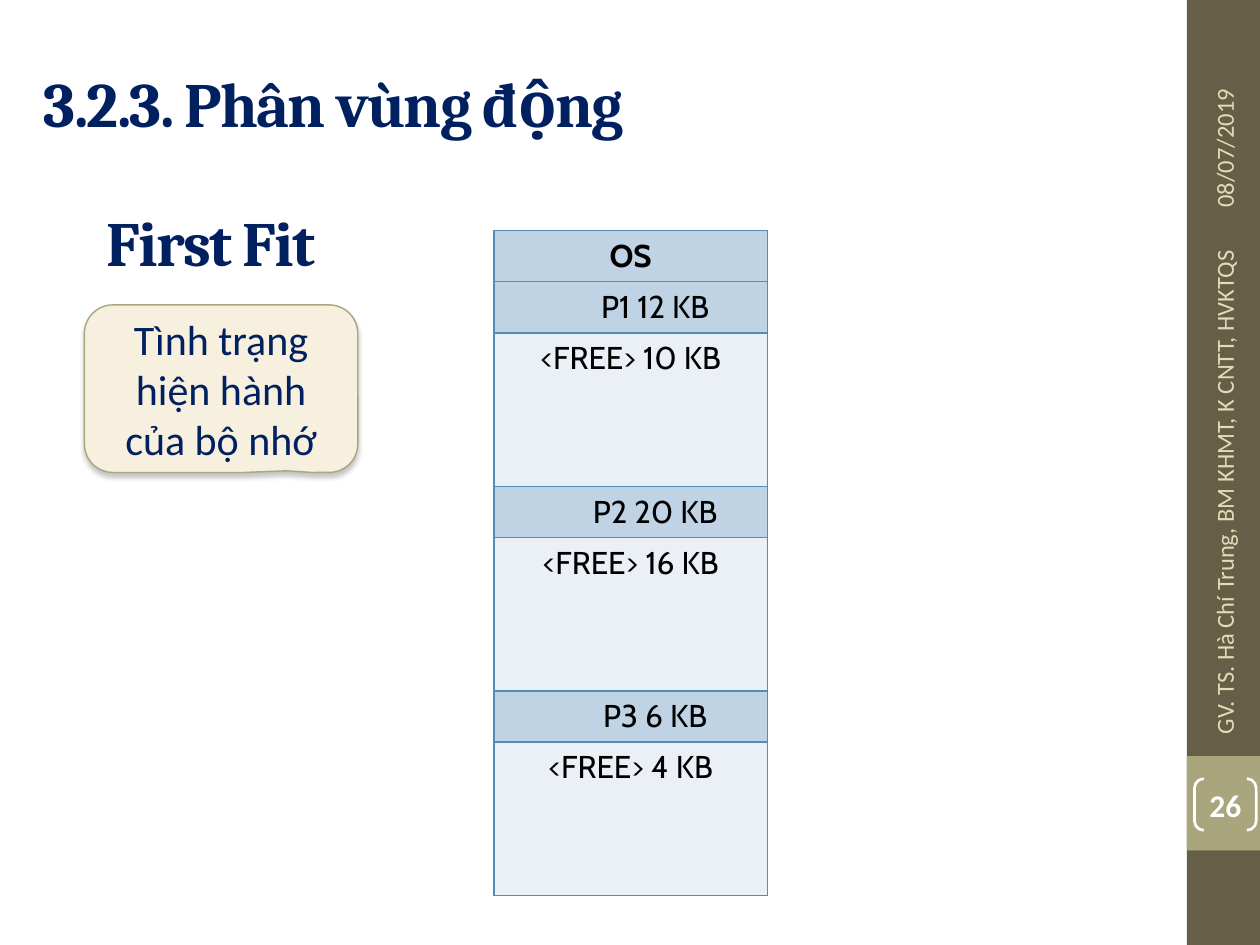
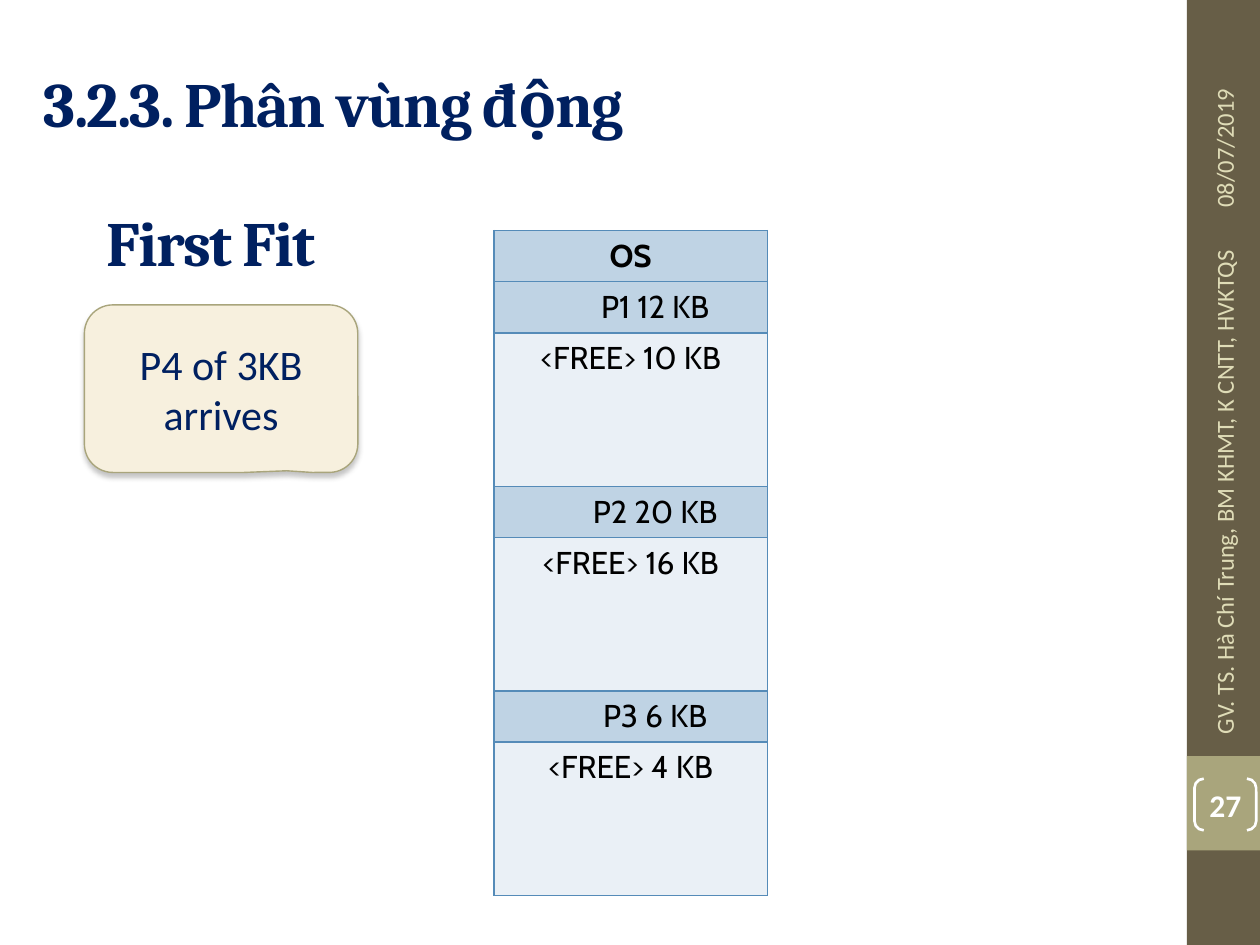
from lxml.etree import SubElement
from pptx import Presentation
from pptx.dml.color import RGBColor
from pptx.enum.shapes import MSO_SHAPE as Shape
from pptx.enum.text import MSO_ANCHOR as Anchor, PP_ALIGN as Align
from pptx.oxml.ns import qn
from pptx.util import Inches, Pt

WHITE = RGBColor(0xFF, 0xFF, 0xFF)
BLACK = RGBColor(0x00, 0x00, 0x00)
NAVY = RGBColor(0x00, 0x20, 0x60)
BROWN = RGBColor(0x67, 0x5E, 0x47)
OLIVE = RGBColor(0xA9, 0xA5, 0x7C)
SAND = RGBColor(0xDF, 0xDC, 0xB7)
CREAM = RGBColor(0xF7, 0xF0, 0xDE)
USED = RGBColor(0xBF, 0xD3, 0xE4)
FREE = RGBColor(0xEA, 0xF0, 0xF6)
BORDER = RGBColor(0x55, 0x8B, 0xB8)
SHADOW = RGBColor(0x80, 0x80, 0x80)

HEADING = dict(name="Cambria", size=Pt(36), bold=True, color=NAVY)
FOOTER = dict(name="Calibri", size=Pt(14), color=SAND)
NUMBER = dict(name="Calibri", size=Pt(18), bold=True, color=WHITE)
NOTE = dict(name="Calibri", size=Pt(24), color=NAVY)
PARTITION = dict(name="Cabin", size=Pt(18), color=BLACK)

PARTITIONS = [
    ("OS", None),
    ("P1 12 KB", "<FREE> 10 KB"),
    ("P2 20 KB", "<FREE> 16 KB"),
    ("P3 6 KB", "<FREE> 4 KB"),
]
FREE_ROWS = 3
ROW_HEIGHT = 5.28 / 13
PROCESS_INDENT = 0.49
STATES = [
    (26, ["Tình trạng hiện hành của bộ nhớ"]),
    (27, ["P4 of 3KB", "arrives"]),
]


class MemoryDeck:
    def __init__(self):
        self.presentation = Presentation()
        self.presentation.slide_width = Inches(10)
        self.presentation.slide_height = Inches(7.5)
        self.slide = None

    def add_slide(self, number):
        self.slide = self.presentation.slides.add_slide(self.presentation.slide_layouts[6])
        self.shape(Shape.RECTANGLE, (9.42, 0, 0.58, 7.5), fill=BROWN)
        self.shape(Shape.RECTANGLE, (9.42, 6, 0.58, 0.75), fill=OLIVE)
        self.text((8.84, 0.67, 1.75, 0.4), "08/07/2019", FOOTER, rotation=270)
        self.text((7.63, 3.64, 4.17, 0.4), "GV. TS. Hà Chí Trung, BM KHMT, K CNTT, HVKTQS",
                  FOOTER, rotation=270)
        brackets = self.shape(Shape.DOUBLE_BRACKET, (9.48, 6.18, 0.49, 0.41),
                              line=WHITE, width=1.5, adjustments=[0.18])
        for side in ("left", "top", "right", "bottom"):
            setattr(brackets.text_frame, f"margin_{side}", 0)
        self.middle_lines(brackets.text_frame, [str(number)], NUMBER, Align.CENTER)

    def middle_lines(self, frame, lines, style, align=Align.LEFT):
        frame.word_wrap = True
        frame.vertical_anchor = Anchor.MIDDLE
        self.fill_lines(frame, lines, style, align)

    def fill_lines(self, frame, lines, style, align):
        for index, line in enumerate(lines):
            paragraph = frame.add_paragraph() if index else frame.paragraphs[0]
            paragraph.alignment = align
            run = paragraph.add_run()
            run.text = line
            for key, value in style.items():
                if key == "color":
                    run.font.color.rgb = value
                else:
                    setattr(run.font, key, value)

    def text(self, place, line, style, rotation=0):
        box = self.slide.shapes.add_textbox(*map(Inches, place))
        box.rotation = rotation
        self.middle_lines(box.text_frame, [line], style)
        return box

    def heading(self, place, line):
        box = self.text(place, line, HEADING)
        box.text_frame.paragraphs[0].runs[0].font._element.set("spc", "-100")

    def shape(self, kind, place, fill=None, line=None, width=1, adjustments=()):
        shape = self.slide.shapes.add_shape(kind, *map(Inches, place))
        shape.shadow.inherit = False
        for index, value in enumerate(adjustments):
            shape.adjustments[index] = value
        if fill is None:
            shape.fill.background()
        else:
            shape.fill.solid()
            shape.fill.fore_color.rgb = fill
        if line is None:
            shape.line.fill.background()
        else:
            shape.line.color.rgb = line
            shape.line.width = Pt(width)
        return shape

    def callout(self, lines):
        callout = self.shape(Shape.ROUNDED_RECTANGULAR_CALLOUT, (0.67, 2.42, 2.17, 1.33),
                             CREAM, OLIVE, 0.79, [0.24, 0.49, 0.17])
        effects = callout._element.spPr.find(qn("a:effectLst"))
        shadow = SubElement(effects, qn("a:outerShdw"), blurRad=str(Pt(3)),
                            dist=str(Pt(2.4)), dir="5400000", rotWithShape="0")
        color = SubElement(shadow, qn("a:srgbClr"), val=str(SHADOW))
        SubElement(color, qn("a:alpha"), val="45000")
        self.middle_lines(callout.text_frame, lines, NOTE, Align.CENTER)

    def borders(self, cell, hidden):
        properties = cell._tc.get_or_add_tcPr()
        for side in "LRTB":
            line = SubElement(properties, qn(f"a:ln{side}"), w=str(Pt(1)))
            if side in hidden:
                SubElement(line, qn("a:noFill"))
            else:
                solid = SubElement(line, qn("a:solidFill"))
                SubElement(solid, qn("a:srgbClr"), val=str(BORDER))

    def memory_map(self):
        rows = []
        for process, hole in PARTITIONS:
            rows.append((process, USED, ""))
            if hole:
                rows.append((hole, FREE, "B"))
                rows += [("", FREE, "TB")] * (FREE_ROWS - 2)
                rows.append(("", FREE, "T"))
        table = self.slide.shapes.add_table(
            len(rows), 1, Inches(3.92), Inches(1.83), Inches(2.17),
            Inches(ROW_HEIGHT * len(rows))).table
        table.first_row = table.horz_banding = False
        for index, (label, color, hidden) in enumerate(rows):
            table.rows[index].height = Inches(ROW_HEIGHT)
            cell = table.cell(index, 0)
            self.borders(cell, hidden)
            cell.fill.solid()
            cell.fill.fore_color.rgb = color
            if color == USED and index:
                cell.margin_left = Inches(PROCESS_INDENT)
            if label:
                self.fill_lines(cell.text_frame, [label],
                                PARTITION | dict(bold=index == 0), Align.CENTER)


def main():
    deck = MemoryDeck()
    for number, state in STATES:
        deck.add_slide(number)
        deck.heading((0.25, 0.3, 8.92, 1.03), "3.2.3. Phân vùng động")
        deck.heading((0.75, 1.58, 2.17, 0.67), "First Fit")
        deck.memory_map()
        deck.callout(state)
    deck.presentation.save("out.pptx")


if __name__ == "__main__":
    main()
